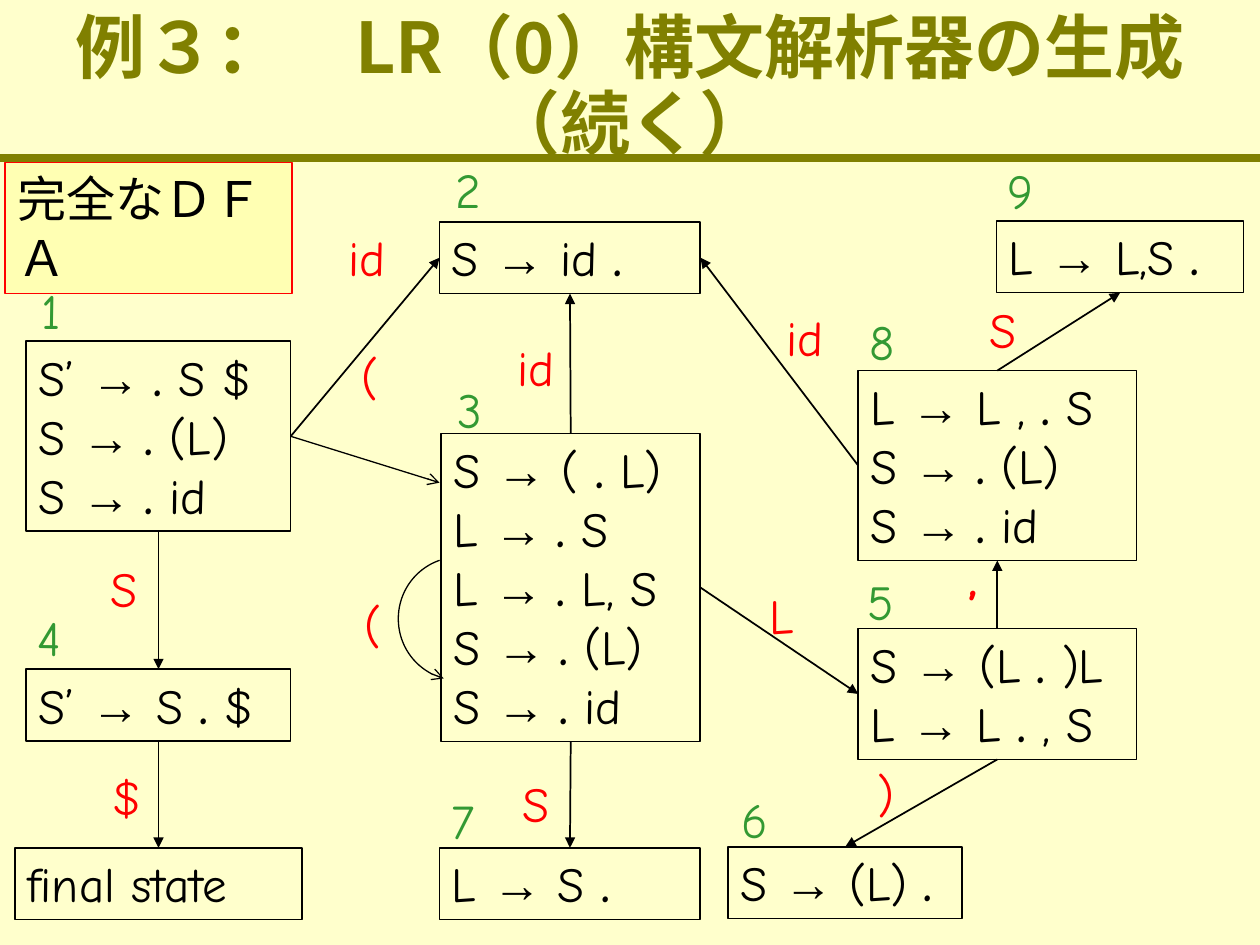
from dataclasses import dataclass
from typing import Optional

from lxml import etree
from pptx import Presentation
from pptx.dml.color import RGBColor
from pptx.enum.shapes import MSO_CONNECTOR, MSO_SHAPE
from pptx.enum.text import MSO_ANCHOR, MSO_AUTO_SIZE, PP_ALIGN
from pptx.oxml.ns import qn
from pptx.util import Cm, Pt

STRAIGHT = MSO_CONNECTOR.STRAIGHT
RECTANGLE, ARC = MSO_SHAPE.RECTANGLE, MSO_SHAPE.ARC
TOP_ANCHOR, MIDDLE_ANCHOR = MSO_ANCHOR.TOP, MSO_ANCHOR.MIDDLE
GROW, NO_FIT = MSO_AUTO_SIZE.SHAPE_TO_FIT_TEXT, MSO_AUTO_SIZE.NONE
LEFT_ALIGN, CENTER = PP_ALIGN.LEFT, PP_ALIGN.CENTER
TOP, LEFT, BOTTOM, RIGHT = range(4)

COLORS = {
    "background": "FFFFCC", "title": "808000", "text": "000000",
    "label": "FF0000", "number": "339933", "caption": "FFFFB3",
}
BODY_FONT, ARROW_FONT, TITLE_FONT = "Comic Neue", "Arial", "Noto Sans CJK JP"
LINE_HEIGHT, BOX_PADDING = 1.19, 0.26


@dataclass
class State:
    """A DFA state; lengths in centimetres."""
    name: str
    left: float
    top: float
    width: float
    items: tuple[str, ...]
    number_at: Optional[tuple[float, float]] = None


@dataclass
class Label:
    text: str
    left: float
    top: float
    width: float
    bold: bool = False


@dataclass
class Edge:
    source: str
    source_side: int
    target: str
    target_side: int


STATES = [
    State("1", 0.53, 6.88, 5.33, ("S’ → . S $", "S → . (L)", "S → . id"), (0.53, 5.54)),
    State("2", 8.86, 4.47, 5.26, ("S → id .",), (8.94, 3.1)),
    State("3", 8.89, 8.74, 5.23,
          ("S → ( . L)", "L → . S", "L → . L, S", "S → . (L)", "S → . id"), (8.97, 7.52)),
    State("4", 0.53, 13.49, 5.33, ("S’ → S . $",), (0.5, 12.12)),
    State("5", 17.3, 12.67, 5.61, ("S → (L . )L", "L → L . , S"), (17.23, 11.4)),
    State("6", 14.68, 17.07, 4.72, ("S → (L) .",), (14.69, 15.8)),
    State("7", 8.86, 17.09, 5.26, ("L → S .",), (8.84, 15.82)),
    State("8", 17.3, 7.47, 5.61, ("L → L , . S", "S → . (L)", "S → . id"), (17.27, 6.15)),
    State("9", 20.09, 4.45, 4.98, ("L → L,S .",), (20.07, 3.12)),
    State("final", 0.3, 17.09, 5.79, ("final state",)),
]
EDGES = [
    Edge("1", BOTTOM, "4", TOP), Edge("4", BOTTOM, "final", TOP),
    Edge("1", RIGHT, "2", LEFT), Edge("8", LEFT, "2", RIGHT),
    Edge("8", TOP, "9", BOTTOM), Edge("5", TOP, "8", BOTTOM),
    Edge("5", BOTTOM, "6", TOP), Edge("3", BOTTOM, "7", TOP),
    Edge("3", TOP, "2", BOTTOM), Edge("3", RIGHT, "5", LEFT),
]
LABELS = [
    Label("id", 6.6, 4.47, 1.6), Label("(", 7.04, 6.86, 0.84),
    Label("id", 15.42, 6.07, 1.6), Label("(", 7.09, 11.86, 0.84),
    Label("S", 1.98, 11.13, 1.04), Label("S", 19.69, 5.92, 1.04),
    Label(",", 19.28, 10.92, 0.69, bold=True), Label(")", 17.45, 15.27, 0.84),
    Label("S", 10.29, 15.47, 1.04), Label("$", 2.01, 15.32, 1.09),
    Label("id", 10.01, 6.68, 1.6), Label("L", 15.27, 11.68, 0.99),
]


def rgb(name: str) -> RGBColor:
    return RGBColor.from_string(COLORS[name])


def apply_format(target, values: dict) -> None:
    for name, value in values.items():
        setattr(target, name, value)


def add_run(paragraph, text: str, color: str, font: str = BODY_FONT,
            size: float = 28, bold: bool = False) -> None:
    run = paragraph.add_run()
    run.text = text
    apply_format(run.font, {"name": font, "size": Pt(size), "bold": bold})
    run.font.color.rgb = rgb(color)
    etree.SubElement(run.font._element, qn("a:ea"), typeface=font)


def add_item(paragraph, item: str) -> None:
    """Write an LR(0) item with its own arrow font and a bold dot."""
    symbol, arrow, production = item.partition("→")
    before, dot, after = production.partition(".")
    if before == " ":
        arrow, before = arrow + before, ""
    parts = [(symbol, BODY_FONT, False), (arrow, ARROW_FONT, False),
             (before, BODY_FONT, False), (dot, BODY_FONT, True), (after, BODY_FONT, False)]
    for text, font, bold in parts:
        if text:
            add_run(paragraph, text, "text", font, bold=bold)


def style_line(line, color: str, width: float, **ends: str) -> None:
    line.color.rgb = rgb(color)
    line.width = Pt(width)
    for end, kind in ends.items():
        etree.SubElement(line._get_or_add_ln(), qn(f"a:{end}"), type=kind)


def add_line(slide, begin: tuple, finish: tuple, color: str, width: float, **ends: str):
    connector = slide.shapes.add_connector(STRAIGHT, *map(Cm, begin + finish))
    style_line(connector.line, color, width, **ends)
    etree.SubElement(connector._element.spPr, qn("a:effectLst"))
    return connector


def add_box(slide, left: float, top: float, width: float, line_count: int,
            line_color: str, line_width: float):
    height = BOX_PADDING + LINE_HEIGHT * line_count
    shape = slide.shapes.add_shape(RECTANGLE, *map(Cm, (left, top, width, height)))
    shape.shadow.inherit = False
    shape.fill.background()
    style_line(shape.line, line_color, line_width)
    apply_format(shape.text_frame, {
        "word_wrap": True, "auto_size": GROW, "vertical_anchor": TOP_ANCHOR})
    shape.text_frame.paragraphs[0].alignment = LEFT_ALIGN
    return shape


def add_label(slide, label: Label, color: str) -> None:
    height = BOX_PADDING + LINE_HEIGHT
    text_box = slide.shapes.add_textbox(
        *map(Cm, (label.left, label.top, label.width, height)))
    apply_format(text_box.text_frame, {"word_wrap": False, "auto_size": GROW})
    paragraph = text_box.text_frame.paragraphs[0]
    paragraph.alignment = CENTER
    add_run(paragraph, label.text, color, bold=label.bold)


def add_state(slide, state: State):
    shape = add_box(slide, state.left, state.top, state.width, len(state.items), "text", 1)
    for index, item in enumerate(state.items):
        frame = shape.text_frame
        paragraph = frame.add_paragraph() if index else frame.paragraphs[0]
        paragraph.alignment = LEFT_ALIGN
        add_item(paragraph, item)
    if state.number_at:
        add_label(slide, Label(state.name, *state.number_at, 1), "number")
    return shape


def add_title(slide) -> None:
    add_line(slide, (0, 3.18), (25.4, 3.18), "title", 4.5)
    text_box = slide.shapes.add_textbox(*map(Cm, (0, 0.2, 25.4, 3.18)))
    apply_format(text_box.text_frame, {
        "word_wrap": True, "auto_size": NO_FIT, "vertical_anchor": MIDDLE_ANCHOR})
    paragraph = text_box.text_frame.paragraphs[0]
    apply_format(paragraph, {"alignment": CENTER, "line_spacing": 0.9})
    add_run(paragraph, "例３：　LR（0）構文解析器の生成（続く）", "title", TITLE_FONT, 40, True)


def main() -> None:
    presentation = Presentation()
    apply_format(presentation, {"slide_width": Cm(25.4), "slide_height": Cm(19.05)})
    slide = presentation.slides.add_slide(presentation.slide_layouts[6])
    slide.background.fill.solid()
    slide.background.fill.fore_color.rgb = rgb("background")
    add_title(slide)

    # States and the transitions between them
    shapes = {state.name: add_state(slide, state) for state in STATES}
    for edge in EDGES:
        connector = add_line(slide, (0, 0), (0, 0), "text", 1, tailEnd="triangle")
        connector.begin_connect(shapes[edge.source], edge.source_side)
        connector.end_connect(shapes[edge.target], edge.target_side)
    for label in LABELS:
        add_label(slide, label, "label")

    # Transition from state 1 into the upper part of state 3
    opening = add_line(slide, (5.86, 8.8), (8.86, 9.73), "text", 0.75, tailEnd="arrow")
    opening.begin_connect(shapes["1"], RIGHT)

    # Loop of state 3; arc angles are stored in 60000ths of a degree
    loop = slide.shapes.add_shape(ARC, *map(Cm, (8.03, 11.23, 2.46, 2.49)))
    loop.shadow.inherit = False
    loop.fill.background()
    style_line(loop.line, "text", 0.75, headEnd="arrow")
    for index, degrees in enumerate((104.6, 251.4)):
        loop.adjustments[index] = degrees * 60000 / 100000

    # Caption
    caption = add_box(slide, 0.1, 3.28, 5.79, 2, "label", 0.75)
    caption.fill.solid()
    caption.fill.fore_color.rgb = rgb("caption")
    add_run(caption.text_frame.paragraphs[0], "完全なＤＦＡ", "text")

    presentation.save("out.pptx")


if __name__ == "__main__":
    main()
